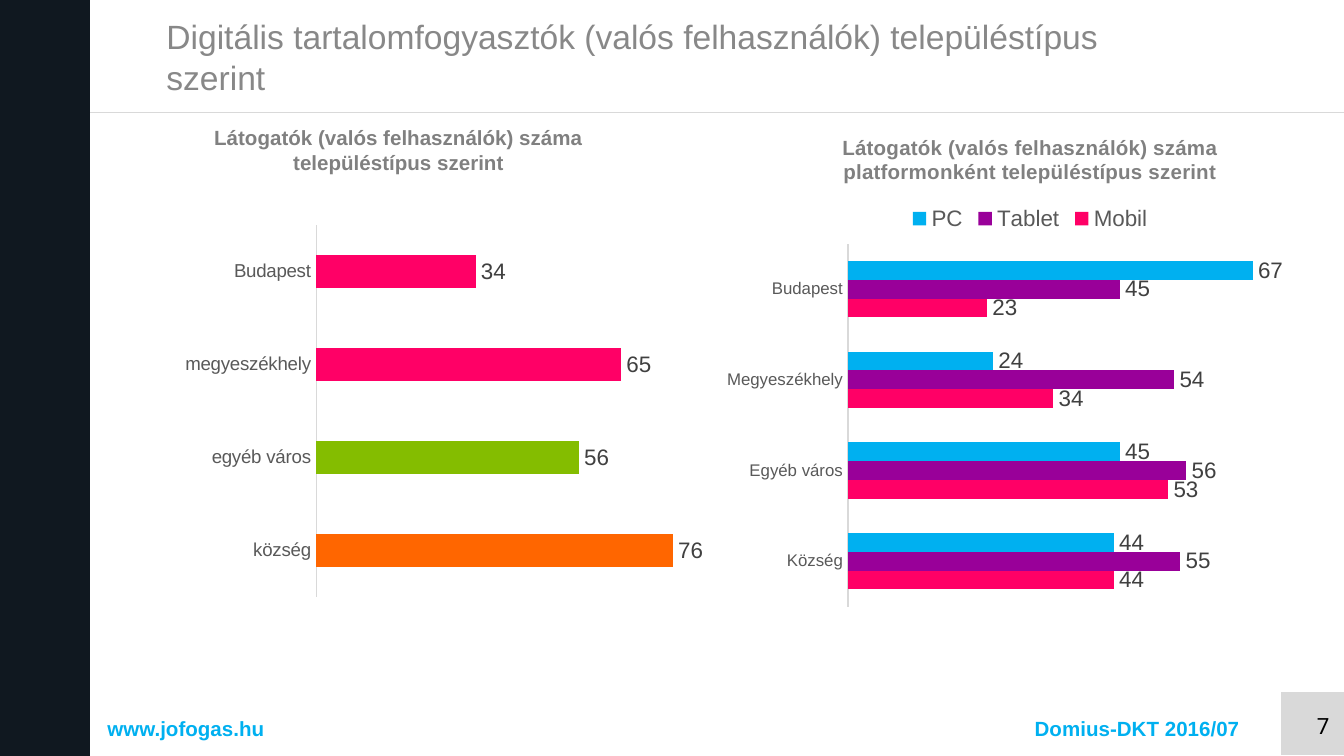
from dataclasses import dataclass, field

from lxml import etree
from pptx import Presentation
from pptx.chart.data import CategoryChartData
from pptx.dml.color import RGBColor
from pptx.enum.chart import XL_CHART_TYPE, XL_LABEL_POSITION, XL_LEGEND_POSITION, XL_TICK_LABEL_POSITION, XL_TICK_MARK
from pptx.enum.shapes import MSO_CONNECTOR, MSO_SHAPE
from pptx.enum.text import MSO_ANCHOR, PP_ALIGN
from pptx.oxml.ns import qn
from pptx.util import Inches, Pt

BAR = XL_CHART_TYPE.BAR_CLUSTERED
OUTSIDE = XL_LABEL_POSITION.OUTSIDE_END
LEGEND_TOP = XL_LEGEND_POSITION.TOP
NO_TICK = XL_TICK_MARK.NONE
BESIDE_AXIS = XL_TICK_LABEL_POSITION.NEXT_TO_AXIS
STRAIGHT = MSO_CONNECTOR.STRAIGHT
RECTANGLE = MSO_SHAPE.RECTANGLE
PROCESS = MSO_SHAPE.FLOWCHART_PROCESS
TOP, MIDDLE = MSO_ANCHOR.TOP, MSO_ANCHOR.MIDDLE
LEFT, CENTER, RIGHT = PP_ALIGN.LEFT, PP_ALIGN.CENTER, PP_ALIGN.RIGHT

COLOURS = {
    "navy": "101820", "rule": "D9D9D9", "title": "888888", "heading": "808080",
    "axis": "595959", "value": "404040", "black": "000000", "pink": "FF0066",
    "purple": "990099", "blue": "00B0F0", "green": "84BD00", "orange": "FF6600",
}


@dataclass
class Label:
    text: str
    frame: tuple[float, float, float, float]
    size: float
    colour: str
    bold: bool = False
    align: PP_ALIGN = LEFT
    anchor: MSO_ANCHOR = TOP
    font: str = "Arial"


@dataclass
class Series:
    name: str
    values: list[int]
    colour: str
    points: dict[int, str] = field(default_factory=dict)


@dataclass
class BarPanel:
    frame: tuple[float, float, float, float]
    categories: list[str]
    series: list[Series]
    axis_size: float
    plot: tuple[float, float, float, float]
    title: str = ""
    legend: tuple[float, float, float, float] | None = None


LABELS = [
    Label("7", (9.53, 5.25, 0.46, 0.42), 12, "black", align=RIGHT, font="Roboto"),
    Label("Digitális tartalomfogyasztók (valós felhasználók) településtípus szerint",
          (1.14, 0, 7.17, 0.84), 18, "title", anchor=MIDDLE),
    Label("Látogatók (valós felhasználók) száma településtípus szerint",
          (1.39, 0.88, 3.15, 0.47), 11, "heading", True, CENTER),
    Label("www.jofogas.hu", (0.7, 5.28, 1.39, 0.29), 11, "blue", True),
    Label("Domius-DKT 2016/07", (7.6, 5.28, 1.73, 0.29), 11, "blue", True),
]

PANELS = [
    BarPanel((5.33, 0.84, 4.67, 3.75), ["Község", "Egyéb város", "Megyeszékhely", "Budapest"],
             [Series("Mobil", [44, 53, 34, 23], "pink"),
              Series("Tablet", [55, 56, 54, 45], "purple"),
              Series("PC", [44, 45, 24, 67], "blue")],
             9, (0.21, 0.26, 0.77, 0.72),
             "Látogatók (valós felhasználók) száma platformonként településtípus szerint",
             (0.3, 0.18, 0.4, 0.06)),
    BarPanel((0.75, 1.53, 4.58, 3.64), ["község", "egyéb város", "megyeszékhely", "Budapest"],
             [Series("Series 1", [76, 56, 65, 34], "pink", {0: "orange", 1: "green"})],
             10, (0.35, 0.04, 0.61, 0.76)),
]


def rgb(name: str) -> RGBColor:
    """Look up a palette colour."""
    return RGBColor.from_string(COLOURS[name])


def style_font(font, size: float, colour: str, bold: bool = False, name: str = "Arial") -> None:
    """Apply face, size, weight and colour."""
    font.name, font.size, font.bold = name, Pt(size), bold
    font.color.rgb = rgb(colour)


def add_block(page, kind: MSO_SHAPE, frame: tuple, colour: str) -> None:
    """Draw a filled shape without outline."""
    block = page.shapes.add_shape(kind, *map(Inches, frame))
    block.shadow.inherit = False
    block.fill.solid()
    block.fill.fore_color.rgb = rgb(colour)
    block.line.fill.background()


def add_rule(page, start: tuple, end: tuple) -> None:
    """Draw the thin line under the title."""
    rule = page.shapes.add_connector(STRAIGHT, *map(Inches, start + end))
    rule.line.color.rgb = rgb("rule")
    rule.line.width = Pt(0.5)
    etree.SubElement(rule._element.spPr, qn("a:effectLst"))


def add_label(page, label: Label) -> None:
    """Place one text box."""
    box = page.shapes.add_textbox(*map(Inches, label.frame))
    box.text_frame.word_wrap = True
    box.text_frame.vertical_anchor = label.anchor
    para = box.text_frame.paragraphs[0]
    para.alignment = label.align
    span = para.add_run()
    span.text = label.text
    style_font(span.font, label.size, label.colour, label.bold, label.font)


def set_layout(parent, position: int, frame: tuple, inner: bool = False) -> None:
    """Fix a chart part at fractions of the chart area."""
    for old in parent.findall(qn("c:layout")):
        parent.remove(old)
    layout = etree.Element(qn("c:layout"))
    manual = etree.SubElement(layout, qn("c:manualLayout"))
    settings = [("layoutTarget", "inner")] if inner else []
    settings += [("xMode", "edge"), ("yMode", "edge"), *zip("xywh", frame)]
    for tag, value in settings:
        etree.SubElement(manual, qn(f"c:{tag}")).set("val", str(value))
    parent.insert(position, layout)


def style_series(plot_series, series: Series) -> None:
    """Colour the bars and label their values."""
    plot_series.format.fill.solid()
    plot_series.format.fill.fore_color.rgb = rgb(series.colour)
    for index, colour in series.points.items():
        fill = plot_series.points[index].format.fill
        fill.solid()
        fill.fore_color.rgb = rgb(colour)
    labels = plot_series.data_labels
    labels.show_value = True
    labels.position = OUTSIDE
    style_font(labels.font, 12, "value")


def add_panel(page, panel: BarPanel) -> None:
    """Draw one bar chart."""
    data = CategoryChartData()
    data.categories = panel.categories
    for series in panel.series:
        data.add_series(series.name, series.values)
    chart = page.shapes.add_chart(BAR, *map(Inches, panel.frame), data).chart
    style_font(chart.font, 10, "black")
    chart.has_title = bool(panel.title)
    if panel.title:
        span = chart.chart_title.text_frame.paragraphs[0].add_run()
        span.text = panel.title
        style_font(span.font, 11, "heading", True)
    chart.has_legend = panel.legend is not None
    if panel.legend:
        chart.legend.position = LEGEND_TOP
        chart.legend.include_in_layout = False
        style_font(chart.legend.font, 12, "axis")
        set_layout(chart.legend._element, 1, panel.legend)
    axis = chart.category_axis
    axis.major_tick_mark = axis.minor_tick_mark = NO_TICK
    axis.tick_label_position = BESIDE_AXIS
    axis.format.line.color.rgb = rgb("rule")
    axis.format.line.width = Pt(0.75)
    style_font(axis.tick_labels.font, panel.axis_size, "axis")
    scale = chart.value_axis
    scale.minimum_scale, scale.maximum_scale = 0, 80
    scale.has_major_gridlines = False
    scale.visible = False
    plot = chart.plots[0]
    plot.gap_width, plot.overlap, plot.vary_by_categories = 182, 0, False
    for plot_series, series in zip(plot.series, panel.series):
        style_series(plot_series, series)
    set_layout(chart._chartSpace.chart.plotArea, 0, panel.plot, True)


def main() -> None:
    """Build and save the slide."""
    deck = Presentation()
    deck.slide_width = Inches(10)
    deck.slide_height = deck.slide_width * 9 // 16
    page = deck.slides.add_slide(deck.slide_layouts[6])
    add_block(page, RECTANGLE, (0, 0, 0.67, deck.slide_height.inches), "navy")
    add_rule(page, (0.67, 0.84), (10, 0.84))
    add_block(page, PROCESS, (9.53, 5.15, 0.47, 0.47), "rule")
    for label in LABELS:
        add_label(page, label)
    for panel in PANELS:
        add_panel(page, panel)
    deck.save("out.pptx")


if __name__ == "__main__":
    main()
